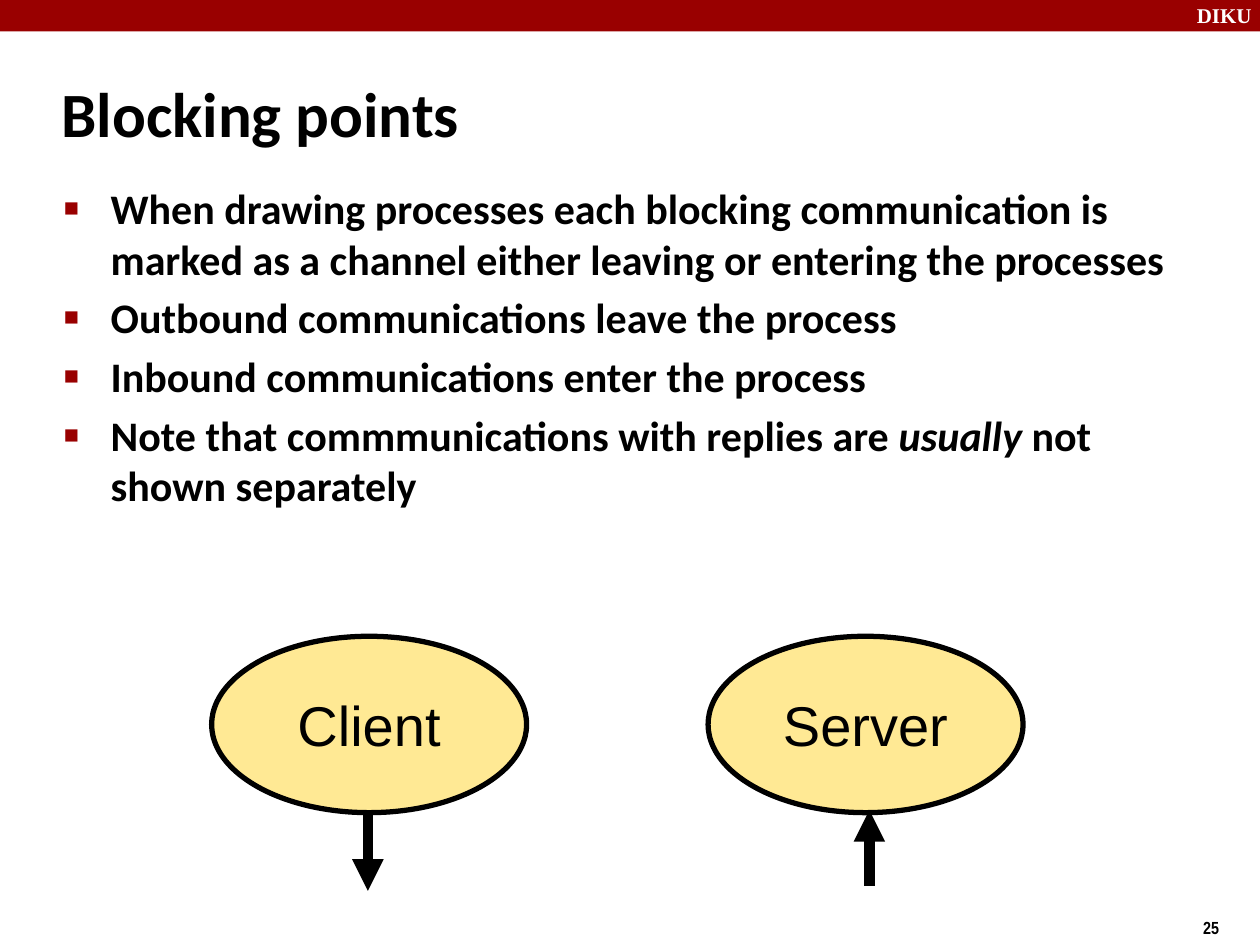
from lxml.etree import SubElement
from pptx import Presentation
from pptx.dml.color import RGBColor
from pptx.enum.shapes import MSO_CONNECTOR, MSO_SHAPE
from pptx.enum.text import MSO_ANCHOR, PP_ALIGN
from pptx.oxml.ns import qn
from pptx.util import Inches, Pt

COLORS = {"black": "000000", "white": "FFFFFF", "red": "990000", "yellow": "FFE994"}

# left, top, width, height, text, vertical anchor, font
LABELS = [
    (9.4, -0.03, 0.67, 0.3, "DIKU", MSO_ANCHOR.TOP,
     {"name": "Times New Roman", "size": 12, "bold": True, "color": "white"}),
    (9.45, 7.23, 0.75, 0.29, "25", MSO_ANCHOR.TOP,
     {"name": "Arial Narrow", "size": 10, "bold": True, "color": "black"}),
    (0.39, 0.48, 8.3, 0.83, "Blocking points", MSO_ANCHOR.MIDDLE,
     {"name": "Calibri", "size": 36, "bold": True, "color": "black"}),
]
# Each bullet is a list of (text, italic) runs
BULLETS = [
    [("When drawing processes each blocking communication is marked as a channel "
      "either leaving or entering the processes", False)],
    [("Outbound communications leave the process", False)],
    [("Inbound communications enter the process", False)],
    [("Note that commmunications with replies are ", False), ("usually", True),
     (" not shown separately", False)],
]
BULLET_FONT = {"name": "Calibri", "size": 24, "bold": True, "color": "black"}
PROCESS_FONT = {"name": "Arial", "size": 32, "bold": False, "color": "black"}
# process name, left of ellipse, arrow x, arrow start y, arrow end y
PROCESSES = [
    ("Client", 1.68, 2.92, 6.47, 7.07),
    ("Server", 5.62, 6.9, 7.03, 6.43),
]


def rgb(name):
    return RGBColor.from_string(COLORS[name])


def set_font(font, values):
    for key, value in values.items():
        if key == "color":
            font.color.rgb = rgb(value)
        else:
            setattr(font, key, Pt(value) if key == "size" else value)


def add_text_box(slide, left, top, width, height, anchor=MSO_ANCHOR.TOP):
    frame = slide.shapes.add_textbox(*map(Inches, (left, top, width, height))).text_frame
    frame.word_wrap = True
    frame.vertical_anchor = anchor
    return frame


def add_shape(slide, kind, left, top, width, height, fill):
    shape = slide.shapes.add_shape(kind, *map(Inches, (left, top, width, height)))
    shape.shadow.inherit = False
    shape.fill.solid()
    shape.fill.fore_color.rgb = rgb(fill)
    return shape


def set_bullet(paragraph):
    properties = paragraph._p.get_or_add_pPr()
    properties.set("marL", str(Inches(0.38)))
    properties.set("indent", str(Inches(-0.37)))
    color = SubElement(properties, qn("a:buClr"))
    SubElement(color, qn("a:srgbClr"), val=COLORS["red"])
    SubElement(properties, qn("a:buSzPct"), val="60000")
    SubElement(properties, qn("a:buFont"), typeface="Arial")
    SubElement(properties, qn("a:buChar"), char="■")


def add_bullets(slide):
    frame = add_text_box(slide, 0.4, 1.4, 8.97, 2.82)
    for index, runs in enumerate(BULLETS):
        paragraph = frame.add_paragraph() if index else frame.paragraphs[0]
        set_bullet(paragraph)
        if index:
            paragraph.space_before = Pt(4.8)
        for text, italic in runs:
            run = paragraph.add_run()
            run.text = text
            set_font(run.font, {**BULLET_FONT, "italic": italic})


def add_process(slide, name, left):
    ellipse = add_shape(slide, MSO_SHAPE.OVAL, left, 5.05, 2.5, 1.4, "yellow")
    ellipse.line.color.rgb = rgb("black")
    ellipse.line.width = Pt(3)
    frame = ellipse.text_frame
    frame.vertical_anchor = MSO_ANCHOR.MIDDLE
    paragraph = frame.paragraphs[0]
    paragraph.alignment = PP_ALIGN.CENTER
    run = paragraph.add_run()
    run.text = name
    set_font(run.font, PROCESS_FONT)


def add_arrow(slide, x, start, end):
    arrow = slide.shapes.add_connector(
        MSO_CONNECTOR.STRAIGHT, *map(Inches, (x, start, x, end)))
    arrow.line.color.rgb = rgb("black")
    arrow.line.width = Pt(6)
    SubElement(arrow.line._get_or_add_ln(), qn("a:tailEnd"), type="triangle")
    SubElement(arrow._element.spPr, qn("a:effectLst"))


def main():
    presentation = Presentation()
    presentation.slide_width, presentation.slide_height = Inches(10), Inches(7.5)
    slide = presentation.slides.add_slide(presentation.slide_layouts[6])

    banner = add_shape(slide, MSO_SHAPE.RECTANGLE, 0, 0, 10, 0.25, "red")
    banner.line.fill.background()
    for left, top, width, height, text, anchor, font in LABELS:
        frame = add_text_box(slide, left, top, width, height, anchor)
        run = frame.paragraphs[0].add_run()
        run.text = text
        set_font(run.font, font)
    add_bullets(slide)
    for name, left, *_ in PROCESSES:
        add_process(slide, name, left)
    for _, _, x, start, end in PROCESSES:
        add_arrow(slide, x, start, end)

    presentation.save("out.pptx")


if __name__ == "__main__":
    main()
